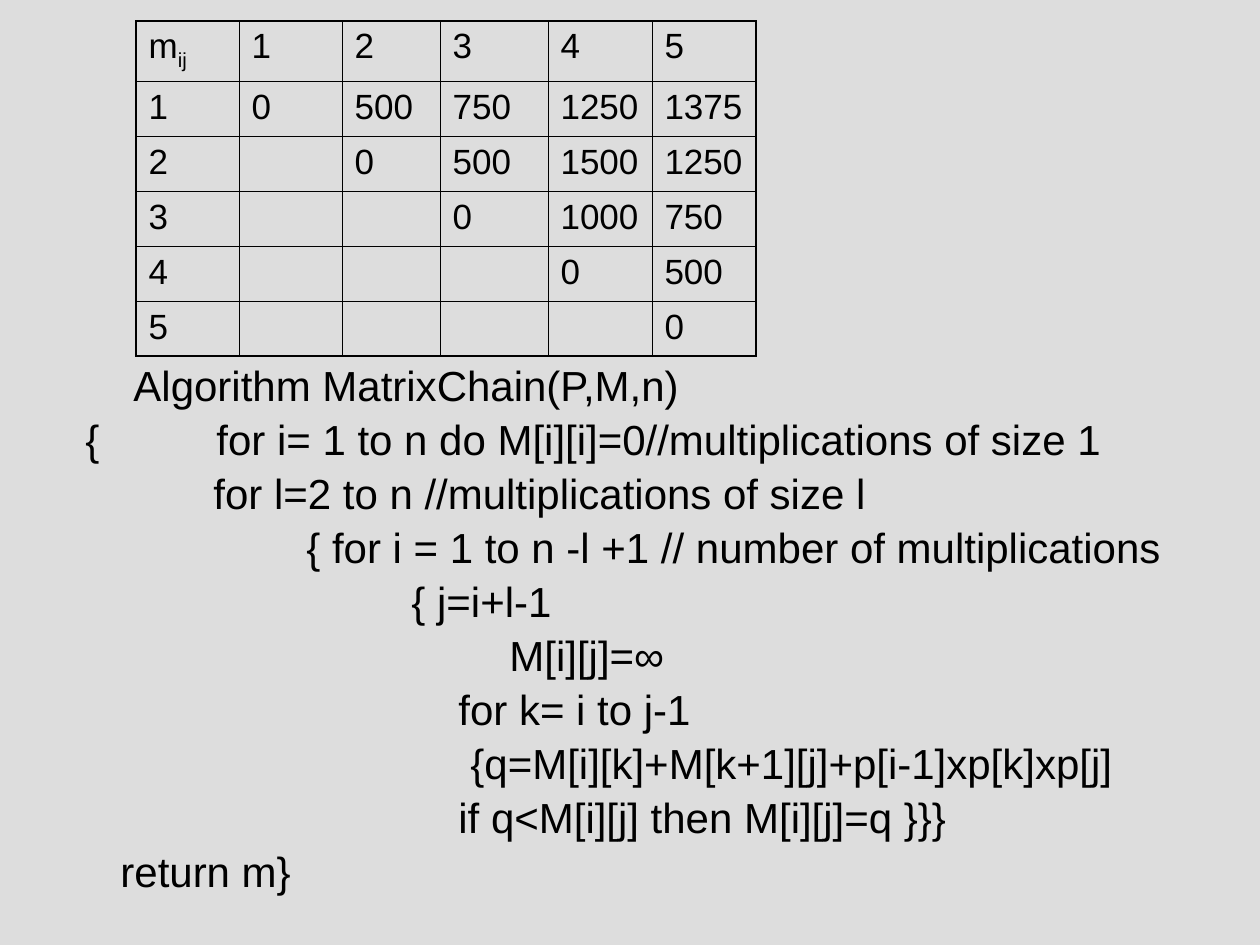
from lxml.etree import SubElement
from pptx import Presentation
from pptx.dml.color import RGBColor
from pptx.oxml.ns import qn
from pptx.util import Emu, Pt

PX = 914400 // 126
FONT = "Arial"
INK = "000000"
BACKGROUND = "DDDDDD"
THIN, THICK = 0.45, 1.08

TABLE_LEFT, TABLE_TOP = 136, 21
COLUMN_WIDTHS = [103, 103, 98, 108, 104, 104]
ROW_HEIGHTS = [60] + [55] * 5
HEADER = [1, 2, 3, 4, 5]
# Upper triangle of the cost matrix: each row starts on the diagonal.
COSTS = [
    [0, 500, 750, 1250, 1375],
    [0, 500, 1500, 1250],
    [0, 1000, 750],
    [0, 500],
    [0],
]

CODE_BOX = (73, 357, 1103, 592)
# (left margin, first-line indent, text)
CODE_LINES = [
    (48, 0, "Algorithm MatrixChain(P,M,n)"),
    (131, -131, "{\tfor i= 1 to n do M[i][i]=0//multiplications of size 1"),
    (128, 0, "for l=2 to n //multiplications of size l"),
    (221, 0, "{ for i = 1 to n -l +1 // number of multiplications"),
    (326, 0, "{ j=i+l-1"),
    (424, 0, "M[i][j]=∞"),
    (373, 0, "for k= i to j-1"),
    (385, 0, "{q=M[i][k]+M[k+1][j]+p[i-1]xp[k]xp[j]"),
    (373, 0, "if q<M[i][j] then M[i][j]=q }}}"),
    (35, 0, "return m}"),
]


def px(length):
    return Emu(length * PX)


def color(hex_value):
    return RGBColor.from_string(hex_value)


def style(paragraph, size, space_before):
    paragraph.font.name = FONT
    paragraph.font.size = Pt(size)
    paragraph.font.color.rgb = color(INK)
    paragraph.space_before = Pt(space_before)


def set_borders(cell, widths):
    """Add the cell's edge lines, ahead of its fill as the schema requires."""
    properties = cell._tc.get_or_add_tcPr()
    for edge in ("L", "R", "T", "B"):
        line = SubElement(properties, qn(f"a:ln{edge}"), w=str(Pt(widths[edge])))
        fill = SubElement(line, qn("a:solidFill"))
        SubElement(fill, qn("a:srgbClr"), val=INK)


def add_cost_table(slide):
    rows = [["m", *HEADER]]
    for number, costs in enumerate(COSTS, start=1):
        rows.append([number] + [""] * (number - 1) + costs)
    last_row, last_column = len(rows) - 1, len(rows[0]) - 1

    table = slide.shapes.add_table(
        len(rows), len(rows[0]), px(TABLE_LEFT), px(TABLE_TOP),
        px(sum(COLUMN_WIDTHS)), px(sum(ROW_HEIGHTS))).table
    table.first_row = table.horz_banding = False
    for column, width in zip(table.columns, COLUMN_WIDTHS):
        column.width = px(width)
    for row, height in zip(table.rows, ROW_HEIGHTS):
        row.height = px(height)

    for r, values in enumerate(rows):
        for c, value in enumerate(values):
            cell = table.cell(r, c)
            set_borders(cell, {
                "L": THICK if c == 0 else THIN,
                "R": THICK if c == last_column else THIN,
                "T": THICK if r == 0 else THIN,
                "B": THICK if r == last_row else THIN,
            })
            cell.fill.background()
            paragraph = cell.text_frame.paragraphs[0]
            style(paragraph, 20, 5)
            if value != "":
                paragraph.add_run().text = str(value)

    subscript = table.cell(0, 0).text_frame.paragraphs[0].add_run()
    subscript.text = "ij"
    subscript._r.get_or_add_rPr().set("baseline", "-25000")


def add_code(slide):
    frame = slide.shapes.add_textbox(*map(px, CODE_BOX)).text_frame
    frame.word_wrap = True
    for index, (margin, indent, text) in enumerate(CODE_LINES):
        paragraph = frame.add_paragraph() if index else frame.paragraphs[0]
        paragraph.text = text
        paragraph.line_spacing = 0.95
        style(paragraph, 24, 3.5)
        properties = paragraph._p.get_or_add_pPr()
        properties.set("marL", str(px(margin)))
        properties.set("indent", str(px(indent)))


def main():
    presentation = Presentation()
    presentation.slide_width, presentation.slide_height = px(1260), px(945)
    slide = presentation.slides.add_slide(presentation.slide_layouts[6])
    slide.background.fill.solid()
    slide.background.fill.fore_color.rgb = color(BACKGROUND)
    add_code(slide)
    add_cost_table(slide)
    presentation.save("out.pptx")


if __name__ == "__main__":
    main()
